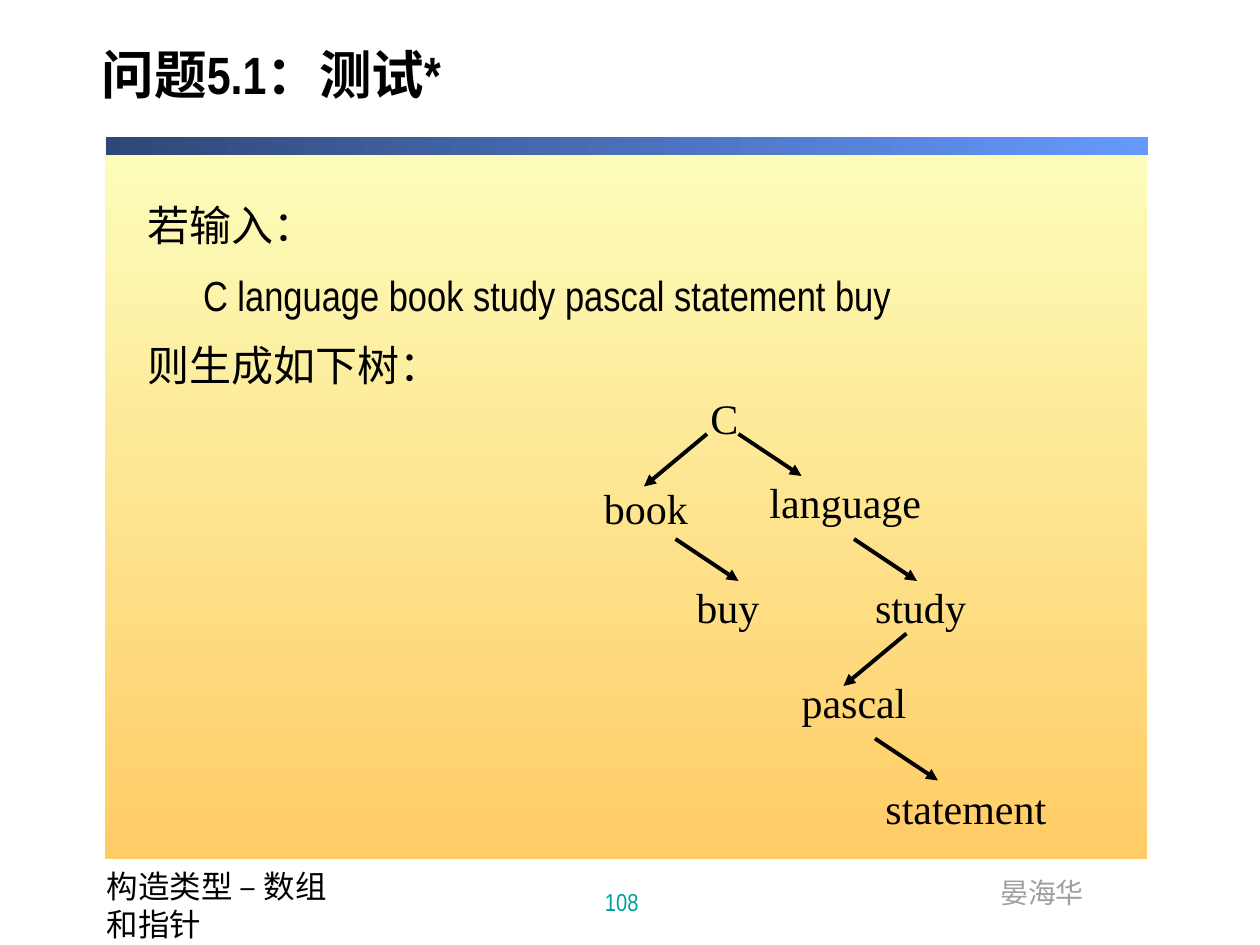
from pptx import Presentation
from pptx.util import Pt
from pptx.dml.color import RGBColor
from pptx.enum import shapes, text
from pptx.oxml.ns import qn
from lxml import etree

# Content, lengths in points
TITLE = "问题5.1：测试*"
BODY = [("若输入：", 0), ("C language book study pascal statement buy", 32), ("则生成如下树：", 0)]
NODES = [  # word, centre x, top
    ("C", 412, 221), ("language", 483, 269), ("book", 369, 272), ("buy", 416, 329),
    ("study", 526, 329), ("pascal", 488, 383), ("statement", 552, 443.5),
]
RIGHT, LEFT = (36, 24), (-36, 30)
ARROWS = [  # start x, start y, direction
    (422, 248, RIGHT), (404, 248, LEFT), (386, 308, RIGHT),
    (488, 308, RIGHT), (518, 362, LEFT), (500, 422, RIGHT),
]
FOOT, PAGE, NAME = "构造类型 – 数组和指针", "108", "晏海华"

THEME = dict(
    sans="Arial Narrow", serif="Times New Roman",
    ink="000000", teal="009EA1", grey="9F9F9F",
    panel=("FCFEBC", "FFCC66", 270), bar=("2F4776", "6699FF", 0),
    title=30, body=24, foot=18, name=16, page=14, line=2.25,
)

deck = Presentation()
deck.slide_width, deck.slide_height = Pt(720), Pt(540)
slide = deck.slides.add_slide(deck.slide_layouts[5])
parts = slide.shapes


def style(para, size, color="ink", font="sans", bold=False):
    for run in para.runs:
        run.font.name = THEME[font]
        run.font.size = Pt(THEME[size])
        run.font.bold = bold
        run.font.color.rgb = RGBColor.from_string(THEME[color])


def band(box, key):
    first, last, angle = THEME[key]
    rect = parts.add_shape(shapes.MSO_SHAPE.RECTANGLE, *map(Pt, box))
    rect.shadow.inherit = False
    rect.line.fill.background()
    rect.fill.gradient()
    rect.fill.gradient_angle = angle
    for stop, color, place in zip(rect.fill.gradient_stops, (first, last), (0, 1)):
        stop.color.rgb = RGBColor.from_string(color)
        stop.position = place


def label(words, box, size, color="ink", font="sans", wrap=True):
    frame = parts.add_textbox(*map(Pt, box)).text_frame
    frame.word_wrap = wrap
    frame.text = words
    style(frame.paragraphs[0], size, color, font)
    return frame


# Background panel and bar
band((59.75, 79.2, 596, 411.8), "panel")
band((60.5, 78, 595.5, 10.8), "bar")

# Title
head = parts.title
head.left, head.top, head.width, head.height = map(Pt, (51, 12.2, 645, 66.2))
frame = head.text_frame
frame.text = TITLE
frame.auto_size = text.MSO_AUTO_SIZE.NONE
frame.vertical_anchor = text.MSO_ANCHOR.MIDDLE
para = frame.paragraphs[0]
para.alignment = text.PP_ALIGN.LEFT
para.line_spacing = 0.8
style(para, "title", bold=True)

# Body lines
frame = label("\n".join(words for words, _ in BODY), (77, 113.8, 559.5, 133), "body")
for i, (para, (_, indent)) in enumerate(zip(frame.paragraphs, BODY)):
    para._p.get_or_add_pPr().set("marL", str(Pt(indent)))
    para.line_spacing = 0.9
    para.space_before = Pt(14 if i else 0)
    style(para, "body")

# Tree words
for word, mid, top in NODES:
    wide = 14.4 + 12 * len(word)
    frame = label(word, (mid - wide / 2, top, wide, 36), "body", font="serif", wrap=False)
    frame.paragraphs[0].alignment = text.PP_ALIGN.CENTER

# Tree arrows
for x, y, (dx, dy) in ARROWS:
    edge = parts.add_connector(shapes.MSO_CONNECTOR.STRAIGHT, *map(Pt, (x, y, x + dx, y + dy)))
    edge.line.color.rgb = RGBColor.from_string(THEME["ink"])
    edge.line.width = Pt(THEME["line"])
    etree.SubElement(edge.line._get_or_add_ln(), qn("a:tailEnd"), type="triangle")
    etree.SubElement(edge._element.spPr, qn("a:effectLst"))

# Footer
label(FOOT, (54, 491.8, 149.8, 36), "foot")
label(NAME, (564.5, 496.8, 62.6, 26.6), "name", "grey", wrap=False)
frame = label(PAGE, (241.2, 491, 228.2, 36), "page", "teal")
frame.vertical_anchor = text.MSO_ANCHOR.BOTTOM
frame.paragraphs[0].alignment = text.PP_ALIGN.CENTER

deck.save("out.pptx")
